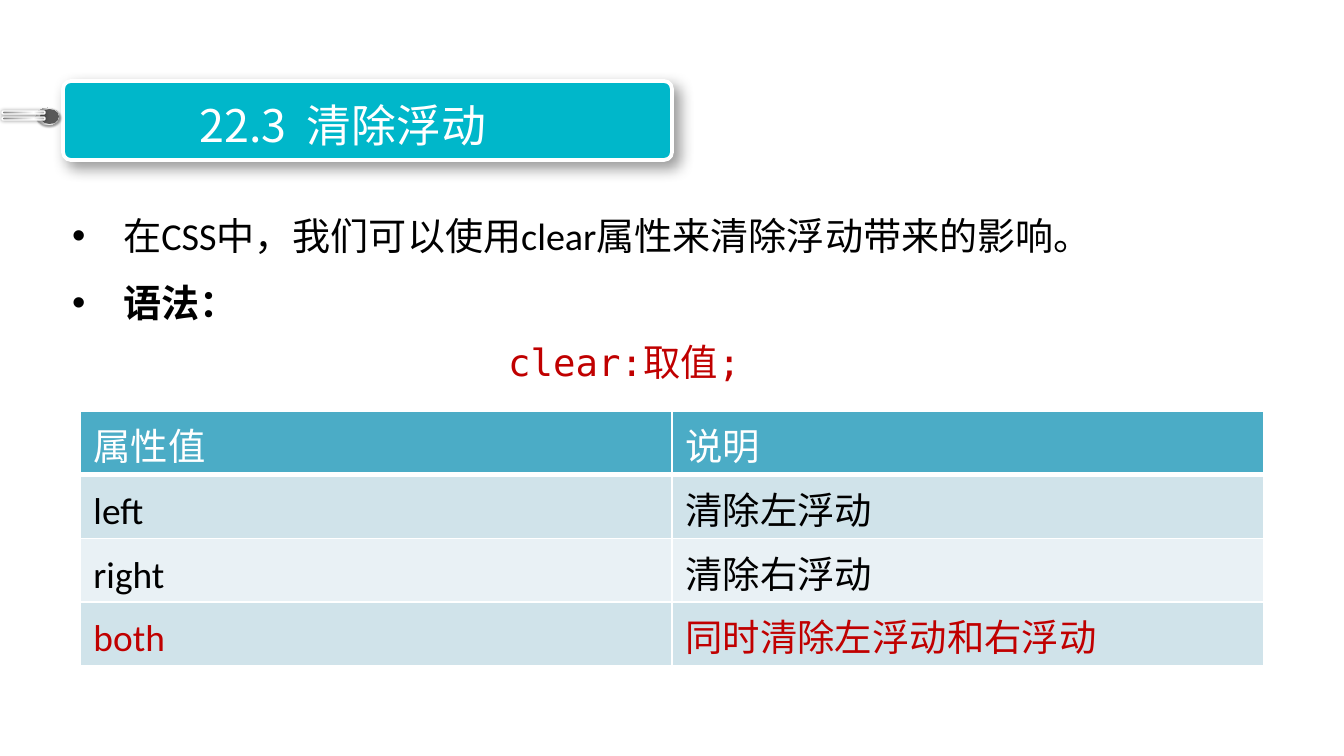
from dataclasses import dataclass
from typing import Optional

from lxml.etree import SubElement
from pptx import Presentation
from pptx.dml.color import RGBColor
from pptx.enum.shapes import MSO_SHAPE
from pptx.enum.text import PP_ALIGN
from pptx.oxml import parse_xml
from pptx.oxml.ns import nsdecls, qn
from pptx.util import Emu, Pt

PIXEL = 914400 / 134.4
COLORS = {"teal": "00B7CA", "white": "FFFFFF", "black": "000000", "red": "C00000",
          "dark": "595959", "header": "4BACC6", "odd": "D0E3EA", "even": "E9F1F5"}
RING = ((0, "FFFFFF"), (17, "A6A6A6"), (35, "F2F2F2"),
        (55, "A6A6A6"), (75, "F2F2F2"), (100, "A6A6A6"))
ROD = ((0, "808080"), (23, "A6A6A6"), (52, "D9D9D9"), (74, "FFFFFF"), (100, "A6A6A6"))
SANS, MONO, CHINESE = "Calibri", "DejaVu Sans Mono", "Noto Sans CJK SC"
ROWS = (("属性值", "说明"), ("left", "清除左浮动"),
        ("right", "清除右浮动"), ("both", "同时清除左浮动和右浮动"))


@dataclass
class Part:
    """A piece of the banner; shadow is blur, distance, angle."""
    kind: MSO_SHAPE
    frame: tuple
    fill: Optional[str] = None
    stops: tuple = ()
    angle: int = 0
    rotation: int = 0
    round: Optional[float] = None
    line: float = 0
    shadow: Optional[tuple] = None


PARTS = [
    Part(MSO_SHAPE.ROUNDED_RECTANGLE, (63, 81, 609, 79), "teal",
         round=0.1, line=2, shadow=(8, 4, 45)),
    Part(MSO_SHAPE.OVAL, (39, 105, 17, 23), stops=RING, angle=45,
         rotation=270, shadow=(1, 1, 45)),
    Part(MSO_SHAPE.OVAL, (42, 107, 15, 19), "dark", rotation=270),
] + [Part(MSO_SHAPE.ROUNDED_RECTANGLE, (22, top, 3, 43), stops=ROD, angle=90,
          rotation=270, round=0.5, line=0.75, shadow=(2, 0, 0)) for top in (97, 91)]


def px(value: float) -> Emu:
    """Turn pixels into EMU."""
    return Emu(round(value * PIXEL))


def color(name: str) -> RGBColor:
    """Look up a named colour."""
    return RGBColor.from_string(COLORS[name])


def set_gradient(shape, stops: tuple, angle: int) -> None:
    """Fill a shape with a linear gradient."""
    shape.fill.gradient()
    gradient = shape._element.spPr.find(qn("a:gradFill"))
    stop_list = gradient.find(qn("a:gsLst"))
    for old in list(stop_list):
        stop_list.remove(old)
    for position, value in stops:
        stop = SubElement(stop_list, qn("a:gs"), pos=str(position * 1000))
        SubElement(stop, qn("a:srgbClr"), val=value)
    gradient.find(qn("a:lin")).set("ang", str(angle * 60000))


def add_part(page, part: Part) -> None:
    """Draw one piece of the banner."""
    shape = page.shapes.add_shape(part.kind, *map(px, part.frame))
    shape.rotation = part.rotation
    if part.round is not None:
        shape.adjustments[0] = part.round
    if part.stops:
        set_gradient(shape, part.stops, part.angle)
    else:
        shape.fill.solid()
        shape.fill.fore_color.rgb = color(part.fill)
    if part.line:
        shape.line.color.rgb = color("white")
        shape.line.width = Pt(part.line)
    else:
        shape.line.fill.background()
    shape.shadow.inherit = False
    if part.shadow:
        blur, distance, angle = part.shadow
        effects = shape._element.spPr.find(qn("a:effectLst"))
        outer = SubElement(effects, qn("a:outerShdw"), blurRad=str(Pt(blur)),
                           dist=str(Pt(distance)), dir=str(angle * 60000),
                           algn="tl", rotWithShape="0")
        tone = SubElement(outer, qn("a:srgbClr"), val=COLORS["black"])
        SubElement(tone, qn("a:alpha"), val="40000")


def write(para, text: str, *, size: float = 20, font: str = SANS, tone: str = "black",
          bold: bool = False, align=None, spacing=None, before: float = 0,
          indent: int = 0) -> None:
    """Put formatted text in a paragraph; an indent also gives it a bullet."""
    span = para.add_run()
    span.text = text
    span.font.size = Pt(size)
    span.font.name = font
    span.font.bold = bold
    span.font.color.rgb = color(tone)
    properties = span._r.get_or_add_rPr()
    properties.set("lang", "zh-CN")
    properties.find(qn("a:latin")).addnext(
        parse_xml(f'<a:ea {nsdecls("a")} typeface="{font}"/>'))
    para.alignment = align
    para.line_spacing = spacing
    para.space_before = Pt(before)
    if indent:
        layout = para._p.get_or_add_pPr()
        layout.set("marL", str(px(indent)))
        layout.set("indent", str(-px(indent)))
        SubElement(layout, qn("a:buFont"), typeface="Arial")
        SubElement(layout, qn("a:buChar"), char="•")


def add_box(page, frame: tuple, texts: tuple, *, wrap: bool = True, **style) -> None:
    """Add a text box with one paragraph for each (text, bold) pair."""
    box = page.shapes.add_textbox(*map(px, frame)).text_frame
    box.word_wrap = wrap
    for index, (text, bold) in enumerate(texts):
        para = box.add_paragraph() if index else box.paragraphs[0]
        write(para, text, bold=bold, **style)


def set_borders(cell, bottom: float) -> None:
    """Give a cell white borders."""
    properties = cell._tc.get_or_add_tcPr()
    for index, (side, width) in enumerate(zip("LRTB", (1, 1, 1, bottom))):
        properties.insert(index, parse_xml(
            f'<a:ln{side} {nsdecls("a")} w="{Pt(width)}"><a:solidFill>'
            f'<a:srgbClr val="{COLORS["white"]}"/></a:solidFill></a:ln{side}>'))


def add_values(page) -> None:
    """Draw the table of property values."""
    table = page.shapes.add_table(len(ROWS), 2, *map(px, (80, 411, 1184, 220))).table
    table.first_row = table.horz_banding = False
    for row, texts in enumerate(ROWS):
        table.rows[row].height = px(55)
        fill = "header" if row == 0 else ("even", "odd")[row % 2]
        tone = {0: "white", len(ROWS) - 1: "red"}.get(row, "black")
        for column, text in enumerate(texts):
            cell = table.cell(row, column)
            cell.margin_top = cell.margin_bottom = px(5)
            cell.fill.solid()
            cell.fill.fore_color.rgb = color(fill)
            set_borders(cell, 1 if row else 3)
            write(cell.text_frame.paragraphs[0], text, tone=tone, spacing=1.2)


def main() -> None:
    """Build the slide."""
    deck = Presentation()
    deck.slide_width, deck.slide_height = px(1344), px(756)
    page = deck.slides.add_slide(deck.slide_layouts[6])
    for part in PARTS:
        add_part(page, part)
    add_box(page, (36, 91, 614, 67), (("22.3  清除浮动", False),),
            size=24, font=CHINESE, tone="white", align=PP_ALIGN.CENTER)
    add_box(page, (59, 192, 1236, 142),
            (("在CSS中，我们可以使用clear属性来清除浮动带来的影响。", False), ("语法：", True)),
            size=20.4, spacing=1.3, before=4, indent=51)
    add_box(page, (495, 327, 247, 60), (("clear:取值;", False),), wrap=False,
            font=MONO, tone="red", spacing=Pt(27))
    add_values(page)
    deck.save("out.pptx")


main()
